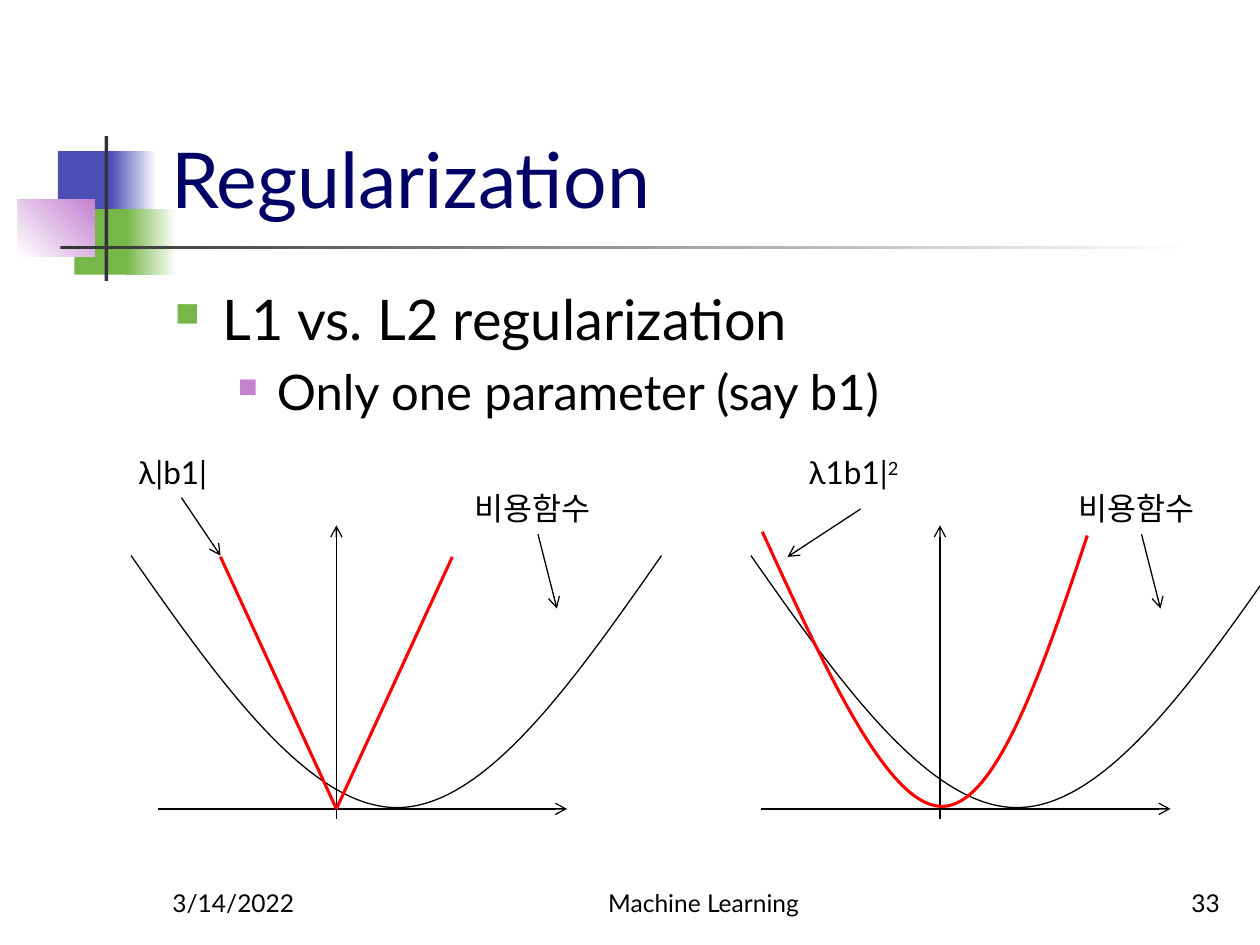
from lxml import etree
from pptx import Presentation
from pptx.dml.color import RGBColor
from pptx.enum.shapes import MSO_CONNECTOR, MSO_SHAPE
from pptx.enum.text import MSO_ANCHOR, MSO_AUTO_SIZE, PP_ALIGN
from pptx.oxml.ns import qn
from pptx.util import Inches, Pt

RECT, STRAIGHT = MSO_SHAPE.RECTANGLE, MSO_CONNECTOR.STRAIGHT
TOP, BOTTOM = MSO_ANCHOR.TOP, MSO_ANCHOR.BOTTOM
LEFT, CENTER, RIGHT = PP_ALIGN.LEFT, PP_ALIGN.CENTER, PP_ALIGN.RIGHT
FONT = "Lato"
BLUE, GREEN, PURPLE, NAVY = "4B4EB5", "76B749", "C481CF", "000066"
BLACK, GRAY, WHITE, RED = "000000", "333333", "FFFFFF", "FF0000"


def rgb(color):
    return RGBColor.from_string(color)


def add_run(p, text, size=18, color=BLACK, superscript=False):
    r = p.add_run()
    r.text = text
    r.font.name, r.font.size, r.font.color.rgb = FONT, Pt(size), rgb(color)
    if superscript:
        r.font._element.set("baseline", "30000")


def add_text(s, text, x, y, w, h, size=18, color=BLACK, align=LEFT, anchor=TOP,
             wrap=True, exponent=None):
    tf = s.shapes.add_textbox(Inches(x), Inches(y), Inches(w), Inches(h)).text_frame
    tf.word_wrap, tf.vertical_anchor = wrap, anchor
    tf.auto_size = MSO_AUTO_SIZE.NONE if wrap else MSO_AUTO_SIZE.SHAPE_TO_FIT_TEXT
    p = tf.paragraphs[0]
    p.alignment = align
    add_run(p, text, size, color)
    if exponent:
        add_run(p, exponent, size, color, superscript=True)
    return tf


def add_bullet(p, color, percent, margin, hang):
    pPr = p._p.get_or_add_pPr()
    pPr.set("marL", str(Inches(margin)))
    pPr.set("indent", str(-Inches(hang)))
    clr = etree.SubElement(pPr, qn("a:buClr"))
    etree.SubElement(clr, qn("a:srgbClr"), val=color)
    etree.SubElement(pPr, qn("a:buSzPct"), val=str(percent * 1000))
    etree.SubElement(pPr, qn("a:buChar"), char="■")


def add_rect(s, x, y, w, h, color, end=None, angle=0):
    """Add a plain rectangle, or one fading from color to end."""
    sp = s.shapes.add_shape(RECT, Inches(x), Inches(y), Inches(w), Inches(h))
    sp.shadow.inherit = False
    sp.line.fill.background()
    if end is None:
        sp.fill.solid()
        sp.fill.fore_color.rgb = rgb(color)
        return
    sp.fill.gradient()
    sp.fill.gradient_angle = angle
    for stop, stop_color in zip(sp.fill.gradient_stops, (color, end)):
        stop.color.rgb = rgb(stop_color)


def add_line(s, start, end, color=BLACK, width=0.75, arrow=False):
    line = s.shapes.add_connector(STRAIGHT, *map(Inches, start + end))
    line.line.color.rgb, line.line.width = rgb(color), Pt(width)
    if arrow:
        etree.SubElement(line.line._get_or_add_ln(), qn("a:tailEnd"), type="arrow")
    etree.SubElement(line._element.spPr, qn("a:effectLst"))


def add_curve(s, points, color=BLACK, width=0.75):
    """Draw cubic Bézier segments: a start point, then three points for each."""
    (x, y), *rest = points
    builder = s.shapes.build_freeform(Inches(x), Inches(y))
    builder.add_line_segments([(Inches(a), Inches(b)) for a, b in rest], close=False)
    sp = builder.convert_to_shape()
    sp.shadow.inherit = False
    sp.fill.background()
    sp.line.color.rgb, sp.line.width = rgb(color), Pt(width)
    outline = next(sp._element.iter(qn("a:path")))
    steps = outline.findall(qn("a:lnTo"))
    for i in range(0, len(steps), 3):
        bezier = etree.SubElement(outline, qn("a:cubicBezTo"))
        for step in steps[i:i + 3]:
            bezier.append(step[0])
            outline.remove(step)


def draw_ornament(s, x, y):
    for dx, dy, color, solid_w, fade_dx, fade_w in (
            (0.32, 0.12, BLUE, 0.48, 0.74, 0.36),
            (0.45, 0.58, GREEN, 0.46, 0.86, 0.4)):
        add_rect(s, x + dx, y + dy, solid_w, 0.52, color)
        add_rect(s, x + fade_dx, y + dy, fade_w, 0.52, color, WHITE)
    add_rect(s, x, y + 0.5, 0.61, 0.46, WHITE, PURPLE, angle=45)
    add_rect(s, x + 0.69, y, 0.03, 1.15, GRAY)
    add_rect(s, x + 0.34, y + 0.87, 9, 0.03, GRAY, WHITE)


def draw_body(s, x, y, w, h):
    tf = add_text(s, "L1 vs. L2 regularization", x, y, w, h, size=32)
    first, second = tf.paragraphs[0], tf.add_paragraph()
    second.level = 1
    add_run(second, "Only one parameter (say b1)", 28)
    first.space_before, second.space_before = Pt(6.4), Pt(5.6)
    add_bullet(first, GREEN, 60, 0.38, 0.38)
    add_bullet(second, PURPLE, 55, 0.81, 0.31)


def draw_cost_plot(s, x, y, curve_x):
    """Draw axes from (x, y), the cost curve from curve_x, and its label."""
    add_line(s, (x, y), (x + 3.25, y), arrow=True)
    add_line(s, (x + 1.42, y + 0.08), (x + 1.42, y - 2.25), arrow=True)
    offsets = (0, -2.01), (0.7, -1.01), (1.41, -0.01), (2.11, -0.01), \
        (2.81, -0.01), (3.51, -1.01), (4.21, -2.01)
    add_curve(s, [(curve_x + dx, y + dy) for dx, dy in offsets])
    add_text(s, "비용함수", x + 2.42, y - 2.59, 1.21, 0.4, wrap=False)
    add_line(s, (x + 3.02, y - 2.18), (x + 3.17, y - 1.59), arrow=True)


def draw_l1(s, x, y):
    draw_cost_plot(s, x, y, x - 0.21)
    for side in (-0.92, 0.92):
        add_line(s, (x + 1.42, y), (x + 1.42 + side, y - 2), RED, 1.75)
    add_text(s, "λ|b1|", x - 0.25, y - 2.87, 0.88, 0.4, wrap=False)
    add_line(s, (x + 0.19, y - 2.47), (x + 0.5, y - 2.01), arrow=True)


def draw_l2(s, x, y):
    draw_cost_plot(s, x, y, x - 0.08)
    offsets = (0.01, -2.2), (0.51, -1.11), (1, -0.03), (1.43, -0.02), \
        (1.86, -0.01), (2.23, -1.09), (2.59, -2.17)
    add_curve(s, [(x + dx, y + dy) for dx, dy in offsets], RED, 1.75)
    add_text(s, "λ1b1|", x + 0.28, y - 2.87, 1.01, 0.4, wrap=False, exponent="2")
    add_line(s, (x + 0.79, y - 2.38), (x + 0.21, y - 2), arrow=True)


def draw_footer(s, y, h):
    for text, x, w, align in (("3/14/2022", 1.27, 2.08, LEFT),
                              ("Machine Learning", 4, 3.17, CENTER),
                              ("33", 7.7, 2.08, RIGHT)):
        add_text(s, text, x, y, w, h, size=14, align=align, anchor=BOTTOM)


def main():
    prs = Presentation()
    prs.slide_width, prs.slide_height = Inches(10), Inches(7.5)
    s = prs.slides.add_slide(prs.slide_layouts[6])
    draw_ornament(s, 0.14, 1.08)
    add_text(s, "Regularization", 1.26, 0.23, 8.52, 1.6, size=44, color=NAVY,
             anchor=BOTTOM)
    draw_body(s, 1.29, 2.21, 8.5, 4.5)
    draw_l1(s, 1.25, 6.42)
    draw_l2(s, 6.04, 6.42)
    draw_footer(s, 6.83, 0.5)
    prs.save("out.pptx")


if __name__ == "__main__":
    main()
